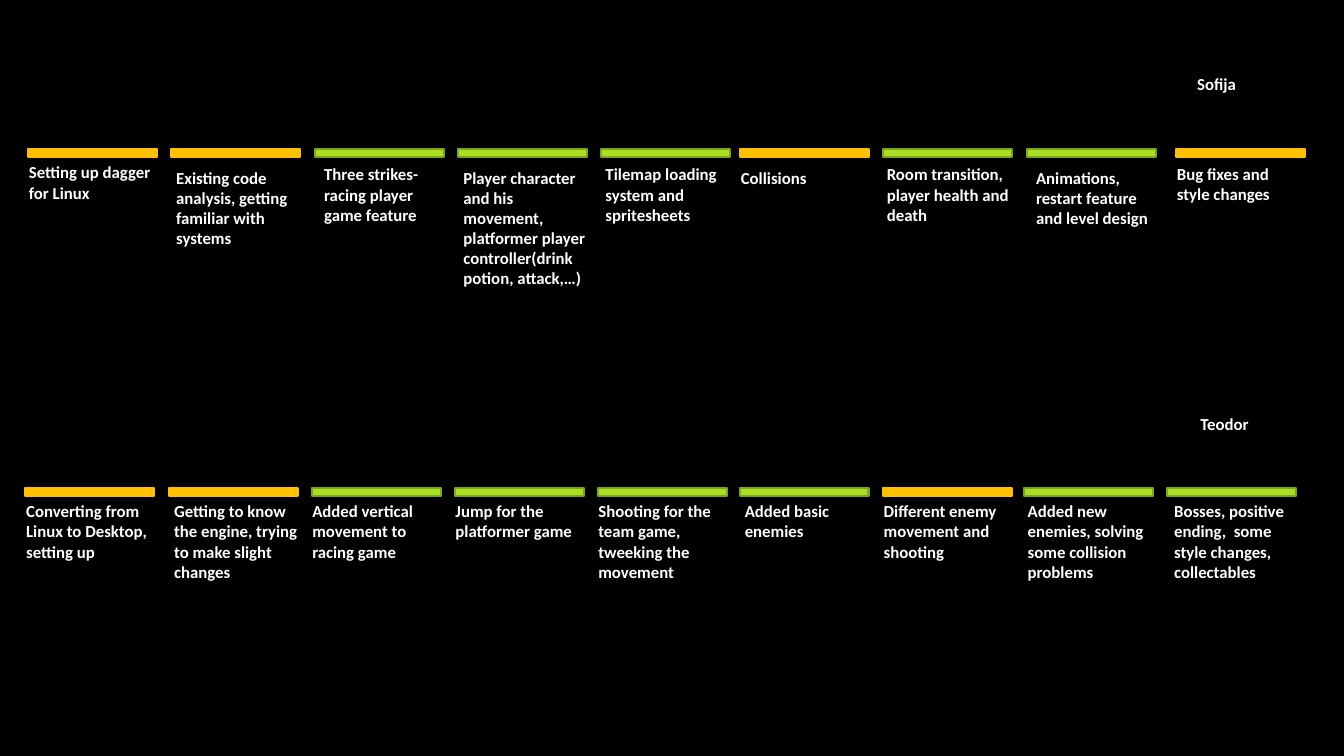
"""Build a slide with two nine-step timelines of the work done by Sofija and Teodor."""
from pptx import Presentation
from pptx.dml.color import RGBColor
from pptx.enum.shapes import MSO_SHAPE
from pptx.enum.text import MSO_AUTO_SIZE, PP_ALIGN
from pptx.util import Cm, Pt

RECTANGLE = MSO_SHAPE.RECTANGLE
FIT_SHAPE = MSO_AUTO_SIZE.SHAPE_TO_FIT_TEXT
LEFT = PP_ALIGN.LEFT

BLACK = RGBColor(0x00, 0x00, 0x00)
WHITE = RGBColor(0xFF, 0xFF, 0xFF)
AMBER = RGBColor(0xFF, 0xC0, 0x00)
GREEN = RGBColor(0xA9, 0xE0, 0x23)
DARK_GREEN = RGBColor(0x7D, 0xA6, 0x1A)
BAR_STYLES = {"amber": (AMBER, AMBER), "green": (GREEN, DARK_GREEN)}

# Each step: text, bar style, bar shift, label left, label gap below bar top, lines
SOFIJA_STEPS = [
    ("Setting up dagger for Linux", "amber", 0, 0.48, 0.2, 2),
    ("Existing code analysis, getting familiar with systems", "amber", 0, 4.19, 0.33, 4),
    ("Three strikes-racing player game feature", "green", 0, 7.92, 0.25, 3),
    ("Player character and his movement, platformer player "
     "controller(drink potion, attack,…)", "green", 0, 11.43, 0.33, 6),
    ("Tilemap loading system and spritesheets", "green", 0, 15.01, 0.25, 3),
    ("Collisions", "amber", -0.12, 18.42, 0.33, 1),
    ("Room transition,\nplayer health and death", "green", -0.12, 22.1, 0.25, 3),
    ("Animations, restart feature and level design", "green", -0.1, 25.86, 0.33, 3),
    ("Bug fixes and style changes", "amber", 0.05, 29.41, 0.23, 3),
]
TEODOR_STEPS = [
    ("Converting from Linux to Desktop, setting up", "amber", 0, 0.41, 0.21, 4),
    ("Getting to know the engine, trying to make slight changes", "amber", 0, 4.14, 0.21, 4),
    ("Added vertical movement to racing game", "green", 0, 7.62, 0.21, 3),
    ("Jump for the platformer game", "green", 0, 11.23, 0.21, 2),
    ("Shooting for the team game, tweeking the movement", "green", 0, 14.83, 0.21, 4),
    ("Added basic enemies", "green", -0.05, 18.52, 0.21, 2),
    ("Different enemy movement and shooting", "amber", -0.05, 22.02, 0.21, 3),
    ("Added new enemies, solving some collision problems", "green", -0.1, 25.65, 0.21, 4),
    ("Bosses, positive ending,  some style changes, collectables", "green", -0.11, 29.34, 0.21, 4),
]
TIMELINES = [
    {"name": "Sofija", "name_at": (29.92, 1.73), "start": 0.71, "top": 3.76, "steps": SOFIJA_STEPS},
    {"name": "Teodor", "name_at": (30.0, 10.29), "start": 0.64, "top": 12.29, "steps": TEODOR_STEPS},
]
BAR_PITCH, BAR_WIDTH, BAR_HEIGHT = 3.61, 3.25, 0.2
LABEL_WIDTH, LINE_HEIGHT, LABEL_PADDING = 3.71, 0.51, 0.25


def add_bar(slide, left, top, style):
    fill_color, line_color = BAR_STYLES[style]
    bar = slide.shapes.add_shape(RECTANGLE, Cm(left), Cm(top), Cm(BAR_WIDTH), Cm(BAR_HEIGHT))
    bar.shadow.inherit = False
    bar.fill.solid()
    bar.fill.fore_color.rgb = fill_color
    bar.line.color.rgb = line_color
    bar.line.width = Pt(1.5)


def add_label(slide, text, left, top, lines):
    height = lines * LINE_HEIGHT + LABEL_PADDING
    label = slide.shapes.add_textbox(Cm(left), Cm(top), Cm(LABEL_WIDTH), Cm(height))
    text_frame = label.text_frame
    text_frame.word_wrap = True
    text_frame.auto_size = FIT_SHAPE
    text_frame.text = text
    for paragraph in text_frame.paragraphs:
        paragraph.alignment = LEFT
        for run in paragraph.runs:
            run.font.name = "Calibri"
            run.font.size = Pt(12)
            run.font.bold = True
            run.font.color.rgb = WHITE


def add_timeline(slide, timeline):
    add_label(slide, timeline["name"], *timeline["name_at"], 1)
    top = timeline["top"]
    for index, (text, style, shift, label_left, gap, lines) in enumerate(timeline["steps"]):
        add_bar(slide, timeline["start"] + index * BAR_PITCH + shift, top, style)
        add_label(slide, text, label_left, top + gap, lines)


def main():
    presentation = Presentation()
    presentation.slide_width = Cm(33.87)
    presentation.slide_height = Cm(19.05)
    slide = presentation.slides.add_slide(presentation.slide_layouts[6])
    slide.background.fill.solid()
    slide.background.fill.fore_color.rgb = BLACK
    for timeline in TIMELINES:
        add_timeline(slide, timeline)
    presentation.save("out.pptx")


if __name__ == "__main__":
    main()
